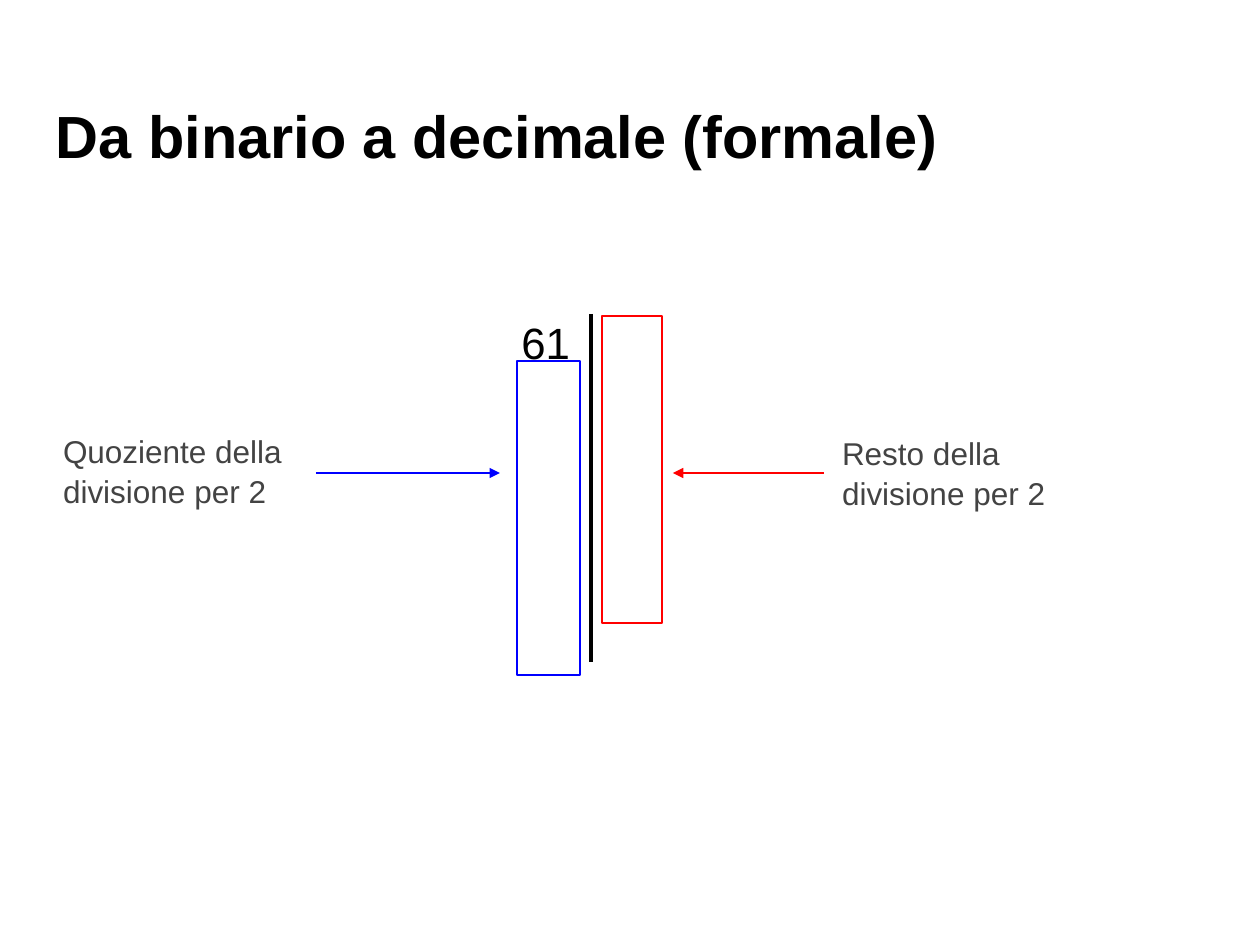
from dataclasses import dataclass

from lxml import etree
from pptx import Presentation
from pptx.dml.color import RGBColor
from pptx.enum.shapes import MSO_CONNECTOR, MSO_SHAPE
from pptx.enum.text import MSO_ANCHOR, PP_ALIGN
from pptx.oxml.ns import qn
from pptx.util import Emu, Pt

RECT = MSO_SHAPE.RECTANGLE
LINE = MSO_CONNECTOR.STRAIGHT
TOP, MIDDLE = MSO_ANCHOR.TOP, MSO_ANCHOR.MIDDLE
LEFT, RIGHT = PP_ALIGN.LEFT, PP_ALIGN.RIGHT
SCALE = 914400 / 126  # EMU per px


@dataclass(frozen=True)
class Theme:
    font: str = "Arial"
    black: str = "000000"
    gray: str = "434343"
    blue: str = "0000FF"
    red: str = "FF0000"
    title: int = 34
    number: int = 25
    label: int = 18
    thin: float = 1.5
    thick: float = 2.25


def px(*nums):
    return [Emu(round(num * SCALE)) for num in nums]


class Deck:
    def __init__(self, theme):
        self.theme = theme
        self.prs = Presentation()
        self.prs.slide_width, self.prs.slide_height = px(1260, 945)
        self.slide = self.prs.slides.add_slide(self.prs.slide_layouts[6])

    def text(self, box, words, size, color, bold=False, align=LEFT,
             anchor=TOP, space=1.0):
        frame = self.slide.shapes.add_textbox(*px(*box)).text_frame
        frame.word_wrap = True
        frame.vertical_anchor = anchor
        (inset,) = px(13)
        frame.margin_left = frame.margin_right = inset
        frame.margin_top = frame.margin_bottom = inset
        para = frame.paragraphs[0]
        para.text = words
        para.alignment = align
        para.line_spacing = space
        font = para.font
        font.name, font.size, font.bold = self.theme.font, Pt(size), bold
        font.color.rgb = RGBColor.from_string(color)

    def frame(self, box, color):
        shape = self.slide.shapes.add_shape(RECT, *px(*box))
        shape.shadow.inherit = False
        shape.fill.background()
        self.stroke(shape.line, color, self.theme.thin)

    def line(self, start, end, color, width, arrow=False):
        link = self.slide.shapes.add_connector(LINE, *px(*start, *end))
        self.stroke(link.line, color, width)
        props = link.element.spPr
        if arrow:
            etree.SubElement(props.find(qn("a:ln")), qn("a:tailEnd"),
                             type="triangle")
        etree.SubElement(props, qn("a:effectLst"))

    def stroke(self, line, color, width):
        line.color.rgb = RGBColor.from_string(color)
        line.width = Pt(width)


def main():
    theme = Theme()
    deck = Deck(theme)

    # Title
    deck.text((43, 82, 1174, 105), "Da binario a decimale (formale)",
              theme.title, theme.black, bold=True, anchor=MIDDLE)

    # Division table: number, divider and the two empty columns
    deck.frame((602, 316, 60, 307), theme.red)
    deck.text((374, 295, 209, 386), "61", theme.number, theme.black,
              align=RIGHT, space=1.15)
    deck.line((591, 314), (591, 662), theme.black, theme.thick)
    deck.frame((517, 361, 63, 314), theme.blue)

    # Labels with arrows towards their columns
    notes = (
        ("Quoziente della divisione per 2", (50, 417, 296, 110),
         316, 500, theme.blue),
        ("Resto della divisione per 2", (829, 419, 284, 110),
         824, 673, theme.red),
    )
    for words, box, start, end, color in notes:
        deck.text(box, words, theme.label, theme.gray, space=1.05)
        deck.line((start, 473), (end, 473), color, theme.thin, arrow=True)

    deck.prs.save("out.pptx")


if __name__ == "__main__":
    main()
